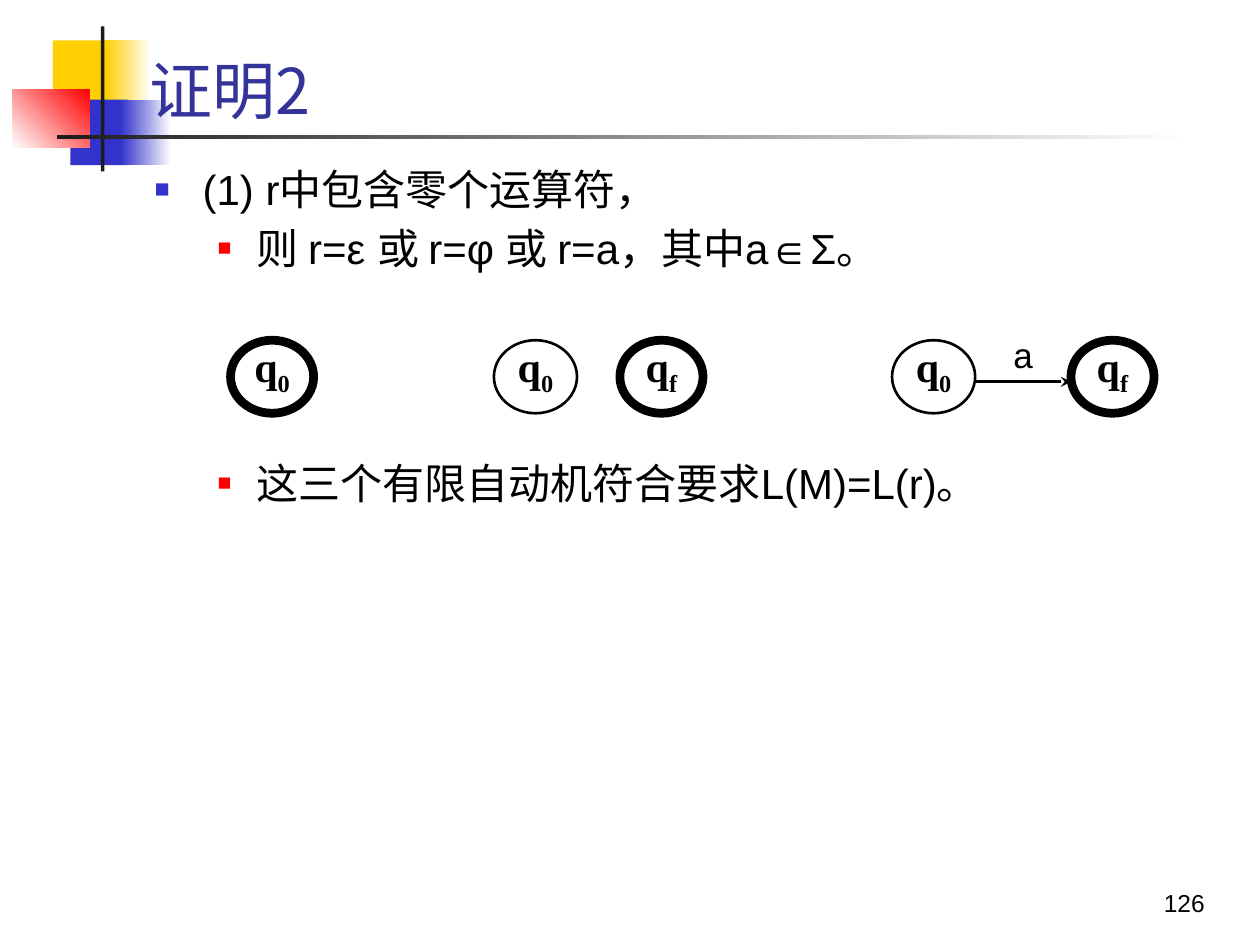
from dataclasses import dataclass

from lxml.etree import SubElement
from pptx import Presentation
from pptx.dml.color import RGBColor
from pptx.enum.shapes import MSO_CONNECTOR, MSO_SHAPE
from pptx.enum.text import MSO_ANCHOR, PP_ALIGN
from pptx.oxml.ns import qn
from pptx.util import Inches, Pt


@dataclass(frozen=True)
class Theme:
    """Colours, fonts and type sizes of the slide."""
    gold: str = "FFCF01"
    blue: str = "3333CC"
    red: str = "FF0000"
    white: str = "FFFFFF"
    dark: str = "1C1C1C"
    navy: str = "333399"
    black: str = "000000"
    sans: str = "Arial"
    serif: str = "Times New Roman"
    han: str = "Noto Sans CJK SC"
    head: int = 36
    body: int = 24
    label: int = 20
    small: int = 14
    thin: float = 1.5
    thick: float = 5


T = Theme()


def rgb(code):
    """Turn a hex code into a colour."""
    return RGBColor.from_string(code)


def style(para, size, face, color=T.black, bold=False):
    """Set the font of a paragraph."""
    font = para.font
    font.size, font.name, font.bold = Pt(size), face, bold
    font.color.rgb = rgb(color)


def add_text(slide, box, text, size, face, color=T.black,
             align=PP_ALIGN.LEFT, anchor=MSO_ANCHOR.BOTTOM, wrap=True):
    """Place one line of text in a box."""
    frame = slide.shapes.add_textbox(*map(Inches, box)).text_frame
    frame.word_wrap, frame.vertical_anchor = wrap, anchor
    para = frame.paragraphs[0]
    para.text, para.alignment = text, align
    style(para, size, face, color)


def add_block(slide, box, start, end=None, angle=0):
    """Place a borderless block with a plain or fading fill."""
    block = slide.shapes.add_shape(MSO_SHAPE.RECTANGLE, *map(Inches, box))
    block.shadow.inherit = False
    block.line.fill.background()
    if end is None:
        block.fill.solid()
        block.fill.fore_color.rgb = rgb(start)
        return
    block.fill.gradient()
    block.fill.gradient_angle = angle
    for stop, color in zip(block.fill.gradient_stops, (start, end)):
        stop.color.rgb = rgb(color)


def add_motif(slide, left, top):
    """Draw the coloured blocks and the two crossing rules."""
    blocks = [
        ((0.32, 0.11, 0.48, 0.52), T.gold),
        ((0.74, 0.11, 0.36, 0.52), T.gold, T.white),
        ((0.46, 0.58, 0.46, 0.52), T.blue),
        ((0.86, 0.58, 0.4, 0.52), T.blue, T.white),
        ((0, 0.5, 0.61, 0.46), T.white, T.red, 45),
        ((0.7, 0, 0.03, 1.15), T.dark),
        ((0.35, 0.86, 9, 0.03), T.dark, T.white),
    ]
    for (x, y, wide, high), *fill in blocks:
        add_block(slide, (left + x, top + y, wide, high), *fill)


def add_bullet(para, color, scale, margin, indent):
    """Give a paragraph a square bullet and a hanging indent."""
    props = para._p.get_or_add_pPr()
    props.set("marL", str(Inches(margin)))
    props.set("indent", str(Inches(indent)))
    tint = SubElement(props, qn("a:buClr"))
    SubElement(tint, qn("a:srgbClr"), val=color)
    SubElement(props, qn("a:buSzPct"), val=str(scale * 1000))
    SubElement(props, qn("a:buFont"), typeface=T.sans)
    SubElement(props, qn("a:buChar"), char="■")


def add_body(slide, box):
    """Write the proof, leaving room for the automata."""
    frame = slide.shapes.add_textbox(*map(Inches, box)).text_frame
    frame.word_wrap = True
    outer, inner = (T.blue, 60, 0.38, -0.38), (T.red, 55, 0.81, -0.31)
    lines = [
        ("(1) r中包含零个运算符，", outer, 0),
        ("则 r=ε 或 r=φ 或 r=a，其中a∈Σ。", inner, 4.8),
        ("这三个有限自动机符合要求L(M)=L(r)。", inner, 105.6),
    ]
    for i, (text, bullet, gap) in enumerate(lines):
        para = frame.add_paragraph() if i else frame.paragraphs[0]
        para.text = text
        para.level = int(bullet is inner)
        para.space_before = Pt(gap)
        add_bullet(para, *bullet)
        style(para, T.body, T.sans)


def add_state(slide, box, sub, weight):
    """Draw one state as a ring holding q and its subscript."""
    ring = slide.shapes.add_shape(MSO_SHAPE.OVAL, *map(Inches, box))
    ring.shadow.inherit = False
    ring.fill.background()
    ring.line.color.rgb, ring.line.width = rgb(T.black), Pt(weight)
    frame = ring.text_frame
    frame.word_wrap, frame.vertical_anchor = False, MSO_ANCHOR.MIDDLE
    frame.margin_top, frame.margin_bottom = 0, Inches(0.12)
    para = frame.paragraphs[0]
    para.alignment = PP_ALIGN.CENTER
    style(para, T.body, T.serif, bold=True)
    para.add_run().text = "q"
    low = para.add_run()
    low.text = sub
    low._r.get_or_add_rPr().set("baseline", "-25000")


def add_arrow(slide, left, right, y):
    """Draw a level arrow between two states."""
    ends = map(Inches, (left, y, right, y))
    arrow = slide.shapes.add_connector(MSO_CONNECTOR.STRAIGHT, *ends)
    arrow.line.color.rgb, arrow.line.width = rgb(T.black), Pt(T.thin)
    SubElement(arrow.line._get_or_add_ln(), qn("a:tailEnd"), type="stealth")
    SubElement(arrow._element.spPr, qn("a:effectLst"))


def add_graphs(slide, top, wide, high):
    """Draw the three automata in one row."""
    states = [
        (1.83, "0", T.thick),
        (3.92, "0", T.thin), (4.92, "f", T.thick),
        (7.08, "0", T.thin), (8.5, "f", T.thick),
    ]
    for left, sub, weight in states:
        add_state(slide, (left, top, wide, high), sub, weight)
    start, end = states[3][0] + wide, states[4][0]
    add_arrow(slide, start, end, top + 0.33)
    add_text(slide, (start, top - 0.04, end - start, 0.3), "a", T.label,
             T.sans, align=PP_ALIGN.CENTER, anchor=MSO_ANCHOR.MIDDLE, wrap=False)


def main():
    """Build and save the slide."""
    deck = Presentation()
    deck.slide_width, deck.slide_height = Inches(10), Inches(7.5)
    slide = deck.slides.add_slide(deck.slide_layouts[6])
    add_motif(slide, 0.1, 0.21)
    add_body(slide, (1.13, 1.25, 8.5, 5.49))
    add_text(slide, (1.09, 0.22, 8.52, 0.84), "证明2", T.head, T.han, T.navy)
    add_text(slide, (7.58, 6.83, 2.08, 0.5), "126", T.small, T.sans,
             align=PP_ALIGN.RIGHT)
    add_graphs(slide, 2.7, 0.66, 0.58)
    deck.save("out.pptx")


if __name__ == "__main__":
    main()
